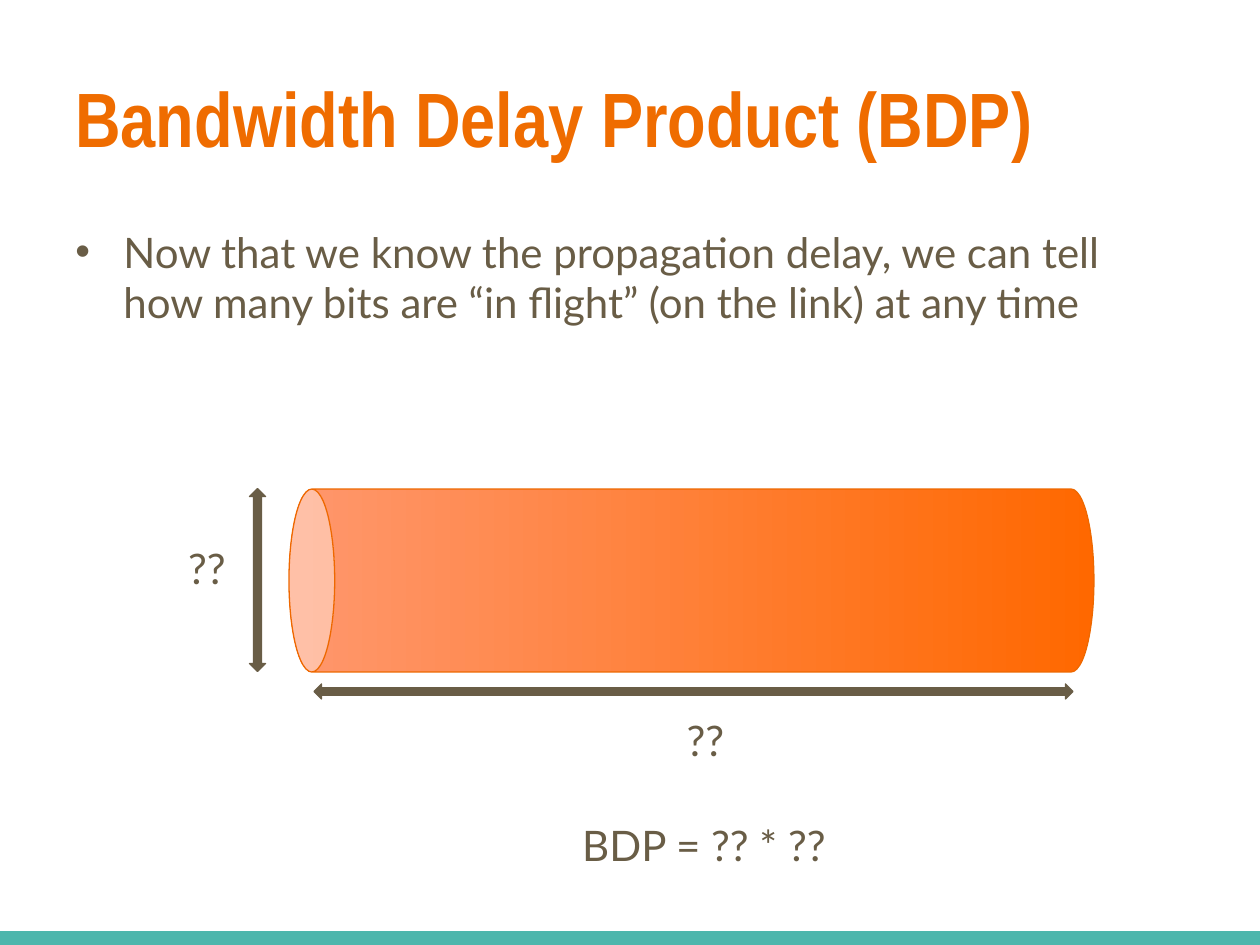
from lxml import etree
from pptx import Presentation, util as u
from pptx.dml.color import RGBColor
from pptx.enum import shapes, text
from pptx.oxml.ns import qn

PX = u.Inches(1) / 126
HUES = {"title": "EF6C00", "text": "695D46", "edge": "EE6800",
        "deep": "FF6800", "pale": "FF976D", "bar": "4DB6AC"}
HEAD = {"name": "Arial Narrow", "size": u.Pt(44), "bold": True}
BODY = {"name": "Lato", "size": u.Pt(24)}
LEFT, MID, RIGHT = (text.PP_ALIGN.LEFT, text.PP_ALIGN.CENTER,
                    text.PP_ALIGN.RIGHT)
TOP, CENTER = text.MSO_ANCHOR.TOP, text.MSO_ANCHOR.MIDDLE
INDENT = 48

# words, box (left, top, width, height), font, colour, alignment, anchor, bullet
TEXTS = [
    ("Bandwidth Delay Product (BDP)", (63, 38, 1134, 158),
     HEAD, "title", LEFT, CENTER, False),
    ("Now that we know the propagation delay, we can tell how many bits "
     "are “in flight” (on the link) at any time", (63, 220, 1134, 624),
     BODY, "text", LEFT, TOP, True),
    ("??", (18, 536, 220, 63), BODY, "text", RIGHT, TOP, False),
    ("??", (512, 708, 387, 63), BODY, "text", MID, TOP, False),
    ("BDP = ?? * ??", (314, 813, 780, 63), BODY, "text", MID, TOP, False),
]
PIPE = (600, 178, 183, 805)
ARROWS = [((314, 684, 759, 15), 0), ((166, 572, 183, 16), 270)]


def emu(*vals):
    return [round(v * PX) for v in vals]


def rgb(key):
    return RGBColor.from_string(HUES[key])


def add_bullet(para):
    props = para._p.get_or_add_pPr()
    gap, = emu(INDENT)
    props.set("marL", str(gap))
    props.set("indent", str(-gap))
    hue = etree.SubElement(props, qn("a:buClr"))
    etree.SubElement(hue, qn("a:srgbClr"), val=HUES["text"])
    etree.SubElement(props, qn("a:buFont"), typeface="Arial")
    etree.SubElement(props, qn("a:buChar"), char="•")


def add_text(slide, words, box, font, hue, align, anchor, bullet):
    frame = slide.shapes.add_textbox(*emu(*box)).text_frame
    frame.word_wrap = True
    frame.vertical_anchor = anchor
    para = frame.paragraphs[0]
    para.alignment = align
    run = para.add_run()
    run.text = words
    for key, val in font.items():
        setattr(run.font, key, val)
    run.font.color.rgb = rgb(hue)
    if bullet:
        add_bullet(para)


def add_solid(slide, kind, box, turn, edge):
    shape = slide.shapes.add_shape(kind, *emu(*box))
    shape.rotation = turn
    shape.shadow.inherit = False
    shape.line.color.rgb = rgb(edge)
    shape.line.width = u.Pt(0.75)
    return shape


def add_pipe(slide):
    pipe = add_solid(slide, shapes.MSO_SHAPE.CAN, PIPE, 270, "edge")
    pipe.adjustments[0] = 0.25
    pipe.fill.gradient()
    pipe.fill.gradient_angle = 90
    for stop, hue in zip(pipe.fill.gradient_stops, ("deep", "pale")):
        stop.color.rgb = rgb(hue)


def add_bar(slide):
    """Draw the band along the foot of the slide."""
    bar = slide.shapes.add_connector(shapes.MSO_CONNECTOR.STRAIGHT,
                                     *emu(0, 940, 1260, 940))
    bar.line.color.rgb = rgb("bar")
    bar.line.width = u.Pt(10)
    etree.SubElement(bar._element.spPr, qn("a:effectLst"))


def main():
    deck = Presentation()
    deck.slide_width, deck.slide_height = emu(1260, 945)
    slide = deck.slides.add_slide(deck.slide_layouts[6])
    add_bar(slide)
    for item in TEXTS[:2]:
        add_text(slide, *item)
    add_pipe(slide)
    for box, turn in ARROWS:
        arrow = add_solid(slide, shapes.MSO_SHAPE.LEFT_RIGHT_ARROW,
                          box, turn, "text")
        arrow.fill.solid()
        arrow.fill.fore_color.rgb = rgb("text")
    for item in TEXTS[2:]:
        add_text(slide, *item)
    deck.save("out.pptx")


if __name__ == "__main__":
    main()
